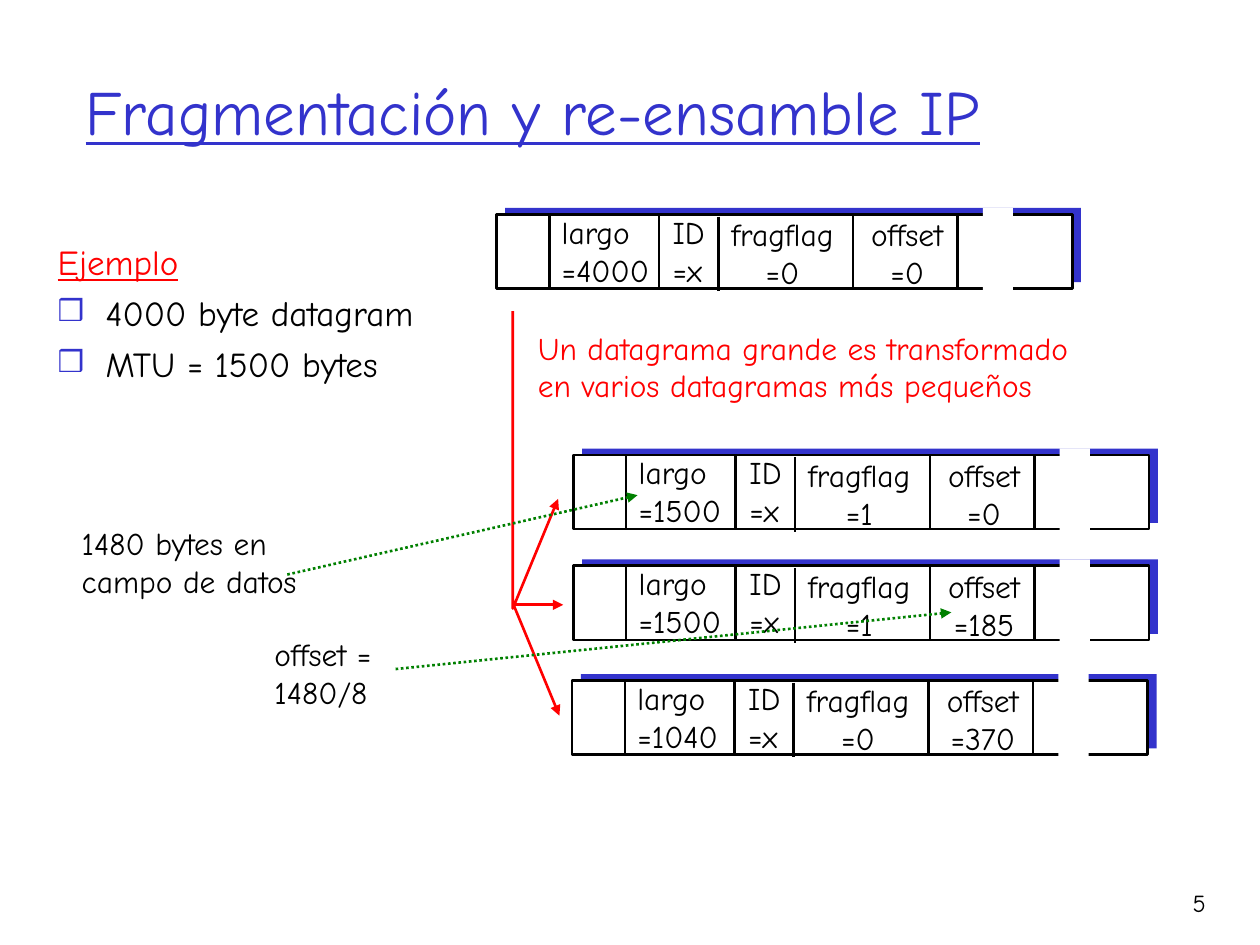
from lxml import etree
from pptx import Presentation
from pptx.dml.color import RGBColor
from pptx.enum.dml import MSO_LINE
from pptx.enum.shapes import MSO_CONNECTOR, MSO_SHAPE
from pptx.enum.text import MSO_ANCHOR, MSO_AUTO_SIZE, PP_ALIGN
from pptx.oxml.ns import qn
from pptx.util import Inches, Pt

FONT = "Comic Neue"
BLUE = RGBColor(0x33, 0x33, 0xCC)
RED = RGBColor(0xFF, 0x00, 0x00)
GREEN = RGBColor(0x00, 0x80, 0x00)
BLACK = RGBColor(0x00, 0x00, 0x00)
WHITE = RGBColor(0xFF, 0xFF, 0xFF)
RECT = MSO_SHAPE.RECTANGLE
STRAIGHT = MSO_CONNECTOR.STRAIGHT
DOTS = MSO_LINE.ROUND_DOT
LEFT, CENTER, RIGHT = PP_ALIGN.LEFT, PP_ALIGN.CENTER, PP_ALIGN.RIGHT
MIDDLE = MSO_ANCHOR.MIDDLE
GROW = MSO_AUTO_SIZE.SHAPE_TO_FIT_TEXT


def add_run(para, words, size=18, color=BLACK, under=False):
    """Add one styled run to a paragraph."""
    run = para.add_run()
    run.text = words
    font = run.font
    font.name, font.size, font.underline = FONT, Pt(size), under
    font.color.rgb = color


def add_text(shapes, box, paras, color=BLACK, align=LEFT):
    """Add a label that grows with its text; a newline breaks the line."""
    frame = shapes.add_textbox(*map(Inches, box)).text_frame
    frame.word_wrap = False
    frame.auto_size = GROW
    for i, words in enumerate(paras):
        para = frame.add_paragraph() if i else frame.paragraphs[0]
        para.alignment = align
        for j, part in enumerate(words.split("\n")):
            if j:
                para.add_line_break()
            add_run(para, part, color=color)


def add_rect(shapes, box, fill, edge=None):
    """Add a plain rectangle, with an outline if an edge colour is given."""
    rect = shapes.add_shape(RECT, *map(Inches, box))
    rect.shadow.inherit = False
    rect.fill.solid()
    rect.fill.fore_color.rgb = fill
    if edge is None:
        rect.line.fill.background()
    else:
        rect.line.color.rgb = edge
        rect.line.width = Pt(1.5)


def style_line(shape, color, dash=None, arrow=True):
    """Set the colour, dash and arrowhead of a line."""
    line = shape.line
    line.color.rgb = color
    line.width = Pt(1.5)
    if dash:
        line.dash_style = dash
    if arrow:
        stroke = shape._element.spPr.find(qn("a:ln"))
        etree.SubElement(stroke, qn("a:tailEnd"), type="triangle")


def add_line(shapes, ends, color, dash=None, arrow=True):
    """Add a straight connector between two points."""
    link = shapes.add_connector(STRAIGHT, *map(Inches, ends))
    style_line(link, color, dash, arrow)
    etree.SubElement(link._element.spPr, qn("a:effectLst"))


def add_title(slide, box):
    """Place and fill the title."""
    title = slide.shapes.title
    title.left, title.top, title.width, title.height = map(Inches, box)
    frame = title.text_frame
    frame.vertical_anchor = MIDDLE
    para = frame.paragraphs[0]
    para.alignment = LEFT
    add_run(para, "Fragmentación y re-ensamble IP", 36, BLUE, True)


def add_gram(slide, box, size, flag, shift):
    """Draw one datagram with its header fields in the given box."""
    x, y, w, h = box
    shapes = slide.shapes.add_group_shape().shapes
    add_rect(shapes, (x + 0.07, y - 0.05, w, h), BLUE)
    add_rect(shapes, box, WHITE, BLACK)
    fields = (
        (0.42, -0.06, 0.92, LEFT, "largo", size),
        (1.3, -0.06, 0.5, LEFT, "ID", "x"),
        (1.76, -0.04, 1.02, CENTER, "fragflag", flag),
        (2.87, -0.04, 0.78, CENTER, "offset", shift),
    )
    for dx, dy, wide, align, name, value in fields:
        add_text(shapes, (x + dx, y + dy, wide, 0.7), (name, f"={value}"), align=align)
    for dx, dy in ((0.42, 0), (1.29, 0), (1.76, 0.02), (2.83, 0), (3.66, 0)):
        add_line(shapes, (x + dx, y + dy, x + dx, y + dy + h), BLACK, arrow=False)
    add_rect(shapes, (x + 3.86, y - 0.05, 0.24, 0.66), WHITE)


def add_split(slide, box):
    """Draw the red arrows from the large datagram to its fragments."""
    x, y, w, h = box
    shapes = slide.shapes.add_group_shape().shapes
    path = shapes.build_freeform(Inches(x), Inches(y), scale=1.0)
    turns = ((x, y + h), (x + w, y + 1.49))
    path.add_line_segments([(Inches(a), Inches(b)) for a, b in turns], close=False)
    trunk = path.convert_to_shape()
    trunk.shadow.inherit = False
    trunk.fill.background()
    style_line(trunk, RED)
    add_line(shapes, (x, y + 2.33, x + 0.4, y + 2.33), RED)
    add_line(shapes, (x + 0.01, y + 2.34, x + 0.37, y + 3.21), RED)
    words = "Un datagrama grande es transformado\nen varios datagramas más pequeños"
    add_text(shapes, (x + 0.1, y + 0.09, 4.43, 0.7), (words,), RED)


def add_list(slide, box):
    """Add the example heading and its bulleted facts."""
    frame = slide.shapes.add_textbox(*map(Inches, box)).text_frame
    frame.word_wrap = True
    lines = ("Ejemplo", "4000 byte datagram", "MTU = 1500 bytes")
    for i, words in enumerate(lines):
        para = frame.add_paragraph() if i else frame.paragraphs[0]
        para.space_before = Pt(5)
        props = para._p.get_or_add_pPr()
        props.set("marL", str(Inches(0.38)))
        props.set("indent", str(Inches(-0.38)))
        if i:
            tint = etree.SubElement(props, qn("a:buClr"))
            etree.SubElement(tint, qn("a:srgbClr"), val=str(BLUE))
            etree.SubElement(props, qn("a:buSzPct"), val="85000")
            etree.SubElement(props, qn("a:buFont"), typeface=FONT)
            etree.SubElement(props, qn("a:buChar"), char="❒")
        add_run(para, words, 20, BLACK if i else RED, not i)


def add_note(slide, box, paras, ends):
    """Add a note and the dotted arrow to the field it explains."""
    add_text(slide.shapes, box, paras)
    add_line(slide.shapes, ends, GREEN, DOTS)


def add_number(slide, box):
    """Add the slide number."""
    frame = slide.shapes.add_textbox(*map(Inches, box)).text_frame
    frame.word_wrap = True
    para = frame.paragraphs[0]
    para.alignment = RIGHT
    add_run(para, "5", 14)


def main():
    """Build the slide and save it."""
    deck = Presentation()
    deck.slide_width, deck.slide_height = Inches(10), Inches(7.5)
    slide = deck.slides.add_slide(deck.slide_layouts[5])
    add_title(slide, (0.58, 0.25, 8.5, 1.25))
    grams = (
        (3.94, 1.7, 4000, 0, 0),
        (4.55, 3.61, 1500, 1, 0),
        (4.55, 4.49, 1500, 1, 185),
        (4.54, 5.4, 1040, 0, 370),
    )
    for x, y, size, flag, shift in grams:
        add_gram(slide, (x, y, 4.57, 0.59), size, flag, shift)
    add_split(slide, (4.07, 2.47, 0.36, 2.36))
    add_list(slide, (0.36, 1.86, 3.1, 1.94))
    add_note(slide, (0.55, 4.11, 1.91, 0.7), ("1480 bytes en \ncampo de datos",),
             (2.28, 4.56, 5.06, 3.93))
    add_note(slide, (2.08, 4.99, 1.02, 0.7), ("offset =", "1480/8"),
             (3.14, 5.31, 7.55, 4.86))
    add_number(slide, (8.93, 7, 0.74, 0.5))
    deck.save("out.pptx")


if __name__ == "__main__":
    main()
